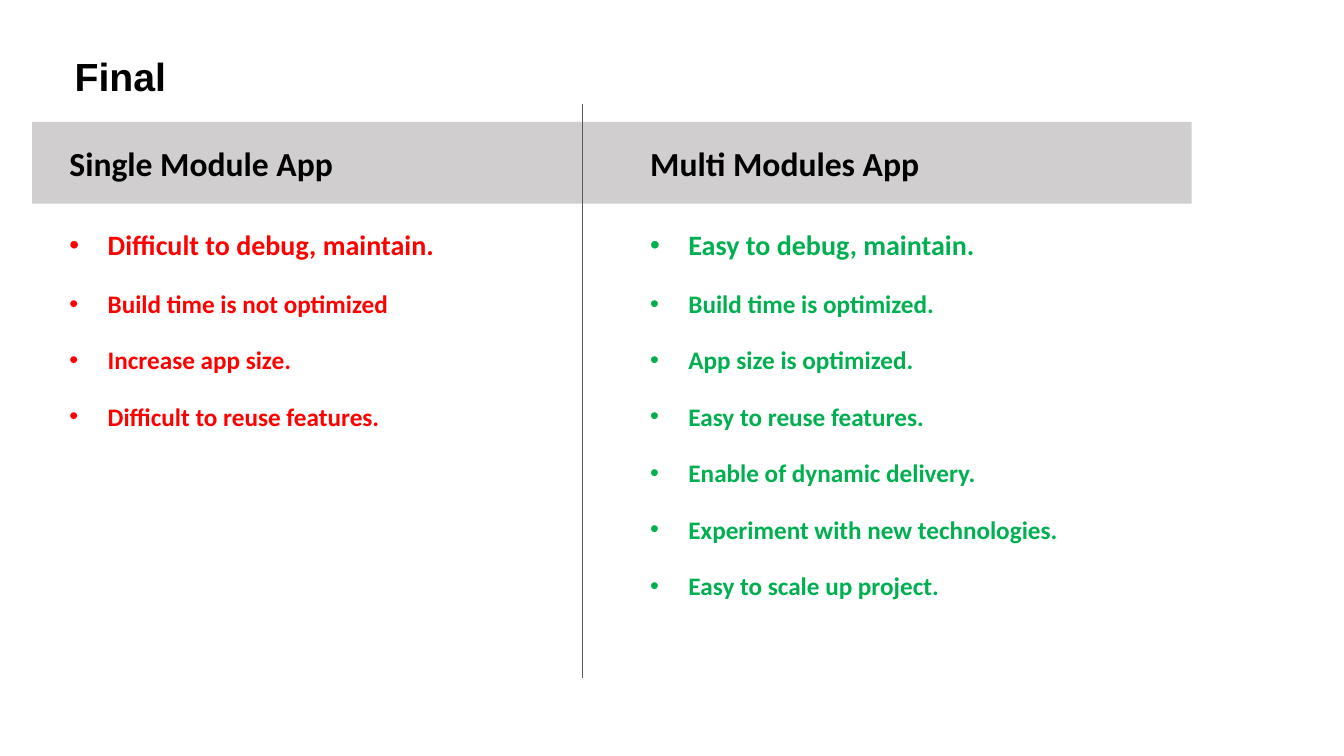
from dataclasses import dataclass

import lxml.etree
import pptx
import pptx.dml.color
import pptx.enum.shapes
import pptx.enum.text
import pptx.oxml.ns
import pptx.util

Inches = pptx.util.Inches


@dataclass(frozen=True)
class Theme:
    ink: str = "000000"
    band: str = "D0CECE"
    rule: str = "595959"
    bad: str = "FF0000"
    good: str = "00B050"
    title_font: str = "Arial"
    body_font: str = "Calibri"
    title_size: int = 28
    head_size: int = 24
    lead_size: int = 20
    item_size: int = 18


@dataclass(frozen=True)
class Item:
    text: str
    width: float


@dataclass(frozen=True)
class Column:
    head: str
    left: float
    color: str
    items: tuple[Item, ...]


THEME = Theme()
HEAD_TOP, HEAD_WIDTH, HEAD_HEIGHT = 1.37, 3.32, 0.5
LEAD_TOP, LEAD_HEIGHT = 2.21, 0.44
ITEM_TOP, ITEM_HEIGHT, ITEM_STEP = 2.81, 0.4, 0.56
INDENT = 0.38

COLUMNS = (
    Column("Single Module App", 0.59, THEME.bad, (
        Item("Difficult to debug, maintain.", 4.87),
        Item("Build time is not optimized", 4.34),
        Item("Increase app size.", 2.78),
        Item("Difficult to reuse features.", 3.66),
    )),
    Column("Multi Modules App", 6.35, THEME.good, (
        Item("Easy to debug, maintain.", 5.43),
        Item("Build time is optimized.", 5.73),
        Item("App size is optimized.", 5.61),
        Item("Easy to reuse features.", 5.14),
        Item("Enable of dynamic delivery.", 4.61),
        Item("Experiment with new technologies.", 5.22),
        Item("Easy to scale up project.", 3.51),
    )),
)


def paint(color: str) -> pptx.dml.color.RGBColor:
    return pptx.dml.color.RGBColor.from_string(color)


def write(frame, text: str, size: int, font: str, color: str) -> None:
    frame.text = text
    frame.word_wrap = True
    frame.vertical_anchor = pptx.enum.text.MSO_ANCHOR.TOP
    frame.auto_size = pptx.enum.text.MSO_AUTO_SIZE.SHAPE_TO_FIT_TEXT
    line = frame.paragraphs[0]
    line.alignment = pptx.enum.text.PP_ALIGN.LEFT
    line.line_spacing = 1.0
    face = line.runs[0].font
    face.name, face.size, face.bold = font, pptx.util.Pt(size), True
    face.color.rgb = paint(color)


def add_text(slide, box: tuple[float, ...], text: str, size: int, color: str):
    shape = slide.shapes.add_textbox(*map(Inches, box))
    write(shape.text_frame, text, size, THEME.body_font, color)
    return shape


def add_bullet(shape) -> None:
    props = shape.text_frame.paragraphs[0]._p.get_or_add_pPr()
    props.set("marL", str(Inches(INDENT)))
    props.set("indent", str(-Inches(INDENT)))
    qn = pptx.oxml.ns.qn
    lxml.etree.SubElement(props, qn("a:buFont"), typeface=THEME.title_font)
    lxml.etree.SubElement(props, qn("a:buChar"), char="•")


def add_title(slide, text: str) -> None:
    title = slide.shapes.title
    title.left, title.top = Inches(0.64), Inches(0.47)
    title.width, title.height = Inches(2.78), Inches(0.57)
    write(title.text_frame, text, THEME.title_size, THEME.title_font, THEME.ink)


def add_band(slide) -> None:
    band = slide.shapes.add_shape(
        pptx.enum.shapes.MSO_SHAPE.RECTANGLE, *map(Inches, (0.32, 1.21, 11.5, 0.81)))
    band.shadow.inherit = False
    band.fill.solid()
    band.fill.fore_color.rgb = paint(THEME.band)
    band.line.fill.background()


def add_rule(slide) -> None:
    rule = slide.shapes.add_connector(
        pptx.enum.shapes.MSO_CONNECTOR.STRAIGHT, *map(Inches, (5.78, 1.03, 5.78, 6.73)))
    rule.line.color.rgb = paint(THEME.rule)
    rule.line.width = pptx.util.Pt(0.5)
    lxml.etree.SubElement(rule._element.spPr, pptx.oxml.ns.qn("a:effectLst"))


def add_column(slide, column: Column) -> None:
    add_text(slide, (column.left, HEAD_TOP, HEAD_WIDTH, HEAD_HEIGHT),
             column.head, THEME.head_size, THEME.ink)
    for row, item in enumerate(column.items):
        if row == 0:
            top, height, size = LEAD_TOP, LEAD_HEIGHT, THEME.lead_size
        else:
            top = ITEM_TOP + (row - 1) * ITEM_STEP
            height, size = ITEM_HEIGHT, THEME.item_size
        add_bullet(add_text(slide, (column.left, top, item.width, height),
                            item.text, size, column.color))


def main() -> None:
    deck = pptx.Presentation()
    deck.slide_width, deck.slide_height = Inches(13.33), Inches(7.5)
    slide = deck.slides.add_slide(deck.slide_layouts[5])
    add_band(slide)
    add_title(slide, "Final")
    for column in COLUMNS:
        add_column(slide, column)
    add_rule(slide)
    deck.save("out.pptx")


if __name__ == "__main__":
    main()
